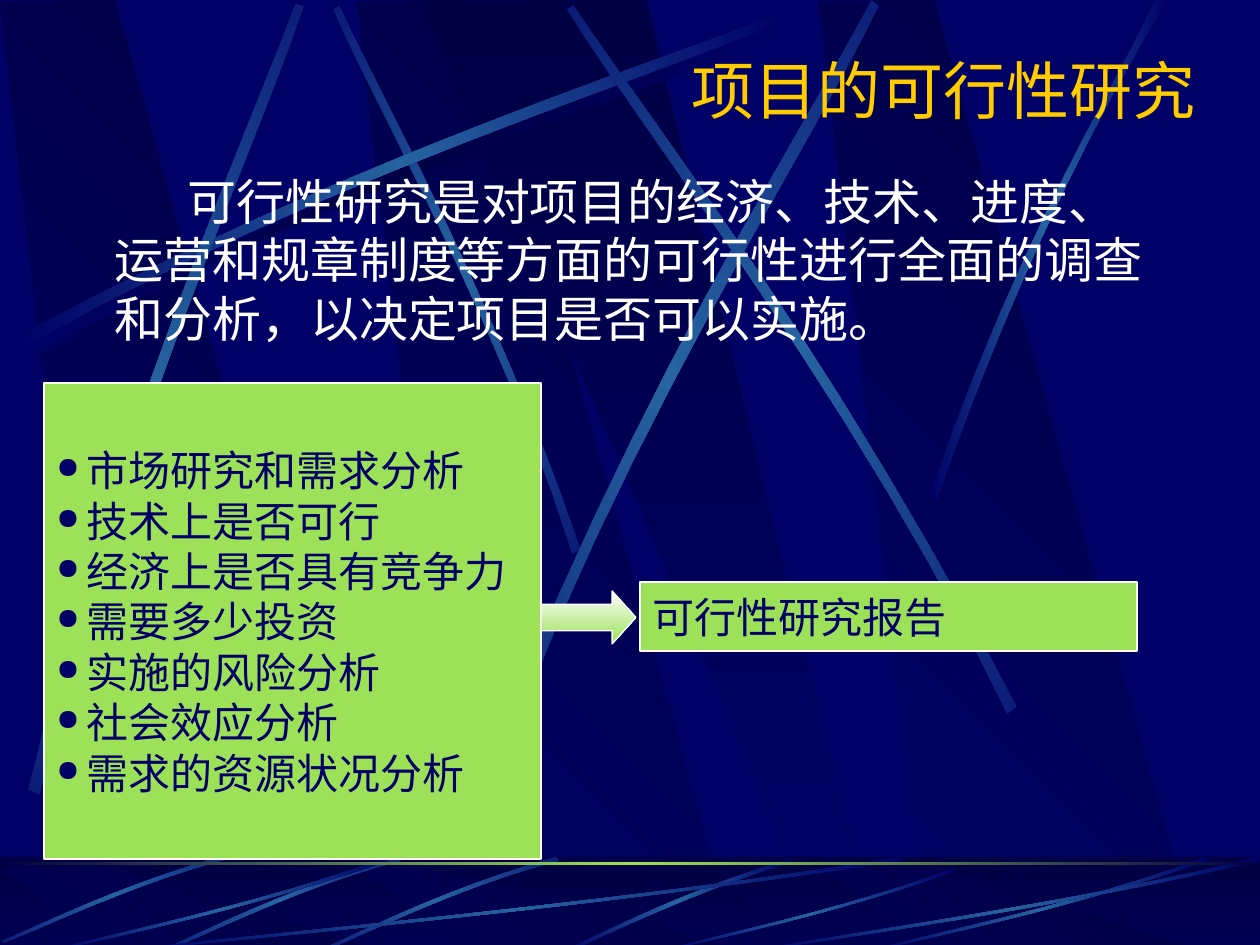
"""Build the feasibility study slide on a dark blue backdrop of planks and streaks."""
from dataclasses import dataclass
from math import cos, radians, sin
from typing import NamedTuple, Optional

from lxml import etree
from pptx import Presentation
from pptx import util as u
from pptx.dml.color import RGBColor
from pptx.enum import shapes, text
from pptx.oxml import ns

PX = 914400 // 126
CURVE_STEPS = 12


@dataclass(frozen=True)
class Theme:
    navy: str = "000066"
    dark: str = "000044"
    streak: str = "2663A0"
    green: str = "9CE157"
    gold: str = "FFCC00"
    white: str = "FFFFFF"
    title_font: str = "Montserrat"
    body_font: str = "Arial"
    box_font: str = "Times New Roman"
    title_size: int = 36
    body_size: int = 28
    box_size: int = 24
    line_width: float = 0.75


THEME = Theme()


class Box(NamedTuple):
    left: int
    top: int
    width: int
    height: int

    def emu(self) -> list[int]:
        return [length * PX for length in self]


class Gradient(NamedTuple):
    colors: tuple[str, ...]
    angle: int = 0


class Piece(NamedTuple):
    outline: list[tuple[int, int]]
    gradient: Gradient
    box: Optional[Box] = None
    rotation: float = 0
    curved: bool = True


PLANK = [(109, 946), (380, 948), (115, 0), (0, 2)]
WEDGE = [(420, 1), (829, 946), (874, 946), (646, 0)]
RISING = [(18, 336), (350, 158), (653, 64), (781, 13), (785, 20), (658, 77), (312, 180), (21, 349)]
SHORT_FALL = [(580, 549), (493, 295), (381, 97), (339, 6), (333, 9), (372, 100), (501, 325), (572, 553)]
LEFT_CLIMB = [(29, 788), (117, 421), (248, 132), (296, 3), (304, 5), (261, 136), (108, 464), (40, 793)]
MID_CLIMB = [(485, 774), (627, 403), (804, 129), (872, 0), (879, 5), (818, 136), (612, 447), (496, 782)]
LONG_FALL = [(1016, 706), (844, 369), (650, 120), (573, 5), (567, 9), (639, 127), (863, 410), (1007, 713)]
RIGHT_CLIMB = [(930, 495), (1026, 218), (1119, 83), (1155, 0), (1168, 0), (1053, 183), (969, 406), (937, 500)]
FLOOR_ARC = [(790, 859), (677, 893), (601, 935), (564, 950), (571, 951), (617, 929), (719, 882), (791, 863)]
FLOOR_TILT = [(557, 857), (447, 888), (362, 932), (323, 949), (324, 951), (363, 936), (460, 886), (559, 861)]
FLOOR_SWEEP = [(388, 861), (243, 911), (111, 937), (54, 951), (53, 950), (108, 934), (260, 905), (387, 857)]

PLANK_FILL = Gradient((THEME.navy, THEME.dark), 315)
WEDGE_FILL = Gradient((THEME.dark, THEME.navy), 90)
STREAK_FILL = Gradient((THEME.navy, THEME.streak, THEME.navy))
SHADE_FILL = Gradient((THEME.navy, THEME.dark, THEME.navy))


def planks(top: int, height: int) -> list[Piece]:
    pieces = [Piece(PLANK, PLANK_FILL, Box(left, top, 380, height), curved=False) for left in (357, 0, 819)]
    return pieces + [Piece(WEDGE, WEDGE_FILL, Box(420, top, 455, height), curved=False)]


WALL = planks(0, 948) + [
    Piece(RISING, SHADE_FILL, Box(25, 23, 767, 336)),
    Piece(SHORT_FALL, STREAK_FILL, rotation=45),
    Piece(RISING, STREAK_FILL),
    Piece(LEFT_CLIMB, STREAK_FILL, rotation=311.7),
    Piece(MID_CLIMB, STREAK_FILL, rotation=321.6),
    Piece(LONG_FALL, STREAK_FILL, rotation=34.8),
    Piece(RIGHT_CLIMB, STREAK_FILL),
]
FLOOR_STREAKS = [Piece(FLOOR_ARC, STREAK_FILL)] + [
    Piece(FLOOR_TILT, STREAK_FILL, box, 314.9)
    for box in (Box(323, 857, 236, 94), Box(165, 857, 236, 94), Box(3, 853, 234, 90))
] + [
    Piece(FLOOR_SWEEP, STREAK_FILL, box)
    for box in (Box(126, 857, 777, 94), Box(53, 857, 335, 94), Box(664, 868, 291, 83),
                Box(872, 857, 335, 94), Box(756, 857, 504, 94))
]
TOPICS = ["市场研究和需求分析", "技术上是否可行", "经济上是否具有竞争力", "需要多少投资",
          "实施的风险分析", "社会效应分析", "需求的资源状况分析"]
SUMMARY = "可行性研究是对项目的经济、技术、进度、运营和规章制度等方面的可行性进行全面的调查和分析，以决定项目是否可以实施。"


def paint(shape, fill: str | Gradient, line: Optional[str] = None) -> None:
    shape.shadow.inherit = False
    if isinstance(fill, Gradient):
        shape.fill.gradient()
        element = shape._element.spPr.find(ns.qn("a:gradFill"))
        stops = element.find(ns.qn("a:gsLst"))
        stops.clear()
        for index, color in enumerate(fill.colors):
            position = 100000 * index // (len(fill.colors) - 1)
            stop = etree.SubElement(stops, ns.qn("a:gs"), pos=str(position))
            etree.SubElement(stop, ns.qn("a:srgbClr"), val=color)
        element.find(ns.qn("a:lin")).set("ang", str(fill.angle * 60000))
    else:
        shape.fill.solid()
        shape.fill.fore_color.rgb = RGBColor.from_string(fill)
    if line:
        shape.line.color.rgb = RGBColor.from_string(line)
        shape.line.width = u.Pt(THEME.line_width)
    else:
        shape.line.fill.background()


def add_preset(slide, kind, box: Box, fill: str | Gradient, line: Optional[str] = None):
    shape = slide.shapes.add_shape(kind, *box.emu())
    paint(shape, fill, line)
    return shape


def bezier(points: list) -> list[tuple[float, float]]:
    curve = []
    for step in range(CURVE_STEPS + 1):
        t = step / CURVE_STEPS
        weights = ((1 - t) ** 3, 3 * t * (1 - t) ** 2, 3 * t * t * (1 - t), t ** 3)
        curve.append(tuple(sum(w * p[axis] for w, p in zip(weights, points)) for axis in (0, 1)))
    return curve


def add_piece(slide, piece: Piece) -> None:
    points = piece.outline
    if piece.curved:
        points = bezier(points[:4]) + bezier(points[4:])
    left, top = (min(values) for values in zip(*points))
    right, bottom = (max(values) for values in zip(*points))
    box = piece.box or Box(left, top, right - left, bottom - top)
    center_x, center_y = box.left + box.width / 2, box.top + box.height / 2
    turn = radians(-piece.rotation)
    corners = []
    for x, y in points:
        x = box.left + (x - left) * box.width / (right - left) - center_x
        y = box.top + (y - top) * box.height / (bottom - top) - center_y
        corners.append((round((center_x + x * cos(turn) - y * sin(turn)) * PX),
                        round((center_y + x * sin(turn) + y * cos(turn)) * PX)))
    builder = slide.shapes.build_freeform(*corners[0], scale=1.0)
    builder.add_line_segments(corners[1:], close=True)
    shape = builder.convert_to_shape()
    shape.rotation = piece.rotation
    paint(shape, piece.gradient)


def write(shape, lines: list[str], *, font: str, size: int, color: str, align=text.PP_ALIGN.LEFT,
          anchor=text.MSO_ANCHOR.MIDDLE, margin: int = 0, indent: int = 0,
          space_before: int = 0, bullet: str = "") -> None:
    frame = shape.text_frame
    frame.word_wrap = True
    frame.vertical_anchor = anchor
    for index, line in enumerate(lines):
        paragraph = frame.add_paragraph() if index else frame.paragraphs[0]
        paragraph.alignment = align
        paragraph.space_before = u.Pt(space_before)
        run = paragraph.add_run()
        run.text = line
        run.font.name, run.font.size = font, u.Pt(size)
        run.font.color.rgb = RGBColor.from_string(color)
        properties = paragraph._p.get_or_add_pPr()
        properties.set("marL", str(margin * PX))
        properties.set("indent", str(indent * PX))
        if bullet:
            tint = etree.SubElement(properties, ns.qn("a:buClr"))
            etree.SubElement(tint, ns.qn("a:srgbClr"), val=color)
            etree.SubElement(properties, ns.qn("a:buSzPct"), val="70000")
            etree.SubElement(properties, ns.qn("a:buChar"), char=bullet)


def draw_backdrop(slide) -> None:
    rectangle = shapes.MSO_SHAPE.RECTANGLE
    floor = Box(0, 857, 1260, 94)
    for piece in WALL:
        add_piece(slide, piece)
    add_preset(slide, rectangle, floor, WEDGE_FILL)
    for piece in planks(867, 84):
        add_piece(slide, piece)
    veil = add_preset(slide, rectangle, floor, THEME.dark)
    color = veil._element.spPr.find(ns.qn("a:solidFill"))[0]
    etree.SubElement(color, ns.qn("a:alpha"), val="50000")
    for piece in FLOOR_STREAKS:
        add_piece(slide, piece)
    add_preset(slide, rectangle, Box(0, 862, 1260, 3), Gradient((THEME.dark, THEME.green, THEME.dark)))


def draw_content(slide) -> None:
    title = slide.shapes.add_textbox(*Box(137, 45, 1071, 88).emu())
    write(title, ["项目的可行性研究"], font=THEME.title_font, size=THEME.title_size,
          color=THEME.gold, align=text.PP_ALIGN.RIGHT)
    summary = slide.shapes.add_textbox(*Box(54, 165, 1120, 200).emu())
    write(summary, [SUMMARY], font=THEME.body_font, size=THEME.body_size, color=THEME.white,
          anchor=text.MSO_ANCHOR.TOP, margin=48, indent=73, space_before=7)
    box_format = dict(font=THEME.box_font, size=THEME.box_size, color=THEME.navy)
    kinds = shapes.MSO_SHAPE
    topics = add_preset(slide, kinds.RECTANGLE, Box(44, 383, 497, 476), THEME.green, THEME.white)
    write(topics, TOPICS, margin=30, indent=-30, bullet="●", **box_format)
    arrow = add_preset(slide, kinds.RIGHT_ARROW, Box(541, 591, 95, 53),
                       Gradient((THEME.white, THEME.green), 90), THEME.white)
    arrow.adjustments[1] = 0.45
    report = add_preset(slide, kinds.RECTANGLE, Box(640, 582, 497, 69), THEME.green, THEME.white)
    write(report, ["可行性研究报告"], **box_format)


def main() -> None:
    presentation = Presentation()
    presentation.slide_width, presentation.slide_height = 1260 * PX, 945 * PX
    slide = presentation.slides.add_slide(presentation.slide_layouts[6])
    slide.background.fill.solid()
    slide.background.fill.fore_color.rgb = RGBColor.from_string(THEME.navy)
    draw_backdrop(slide)
    draw_content(slide)
    presentation.save("out.pptx")


if __name__ == "__main__":
    main()
